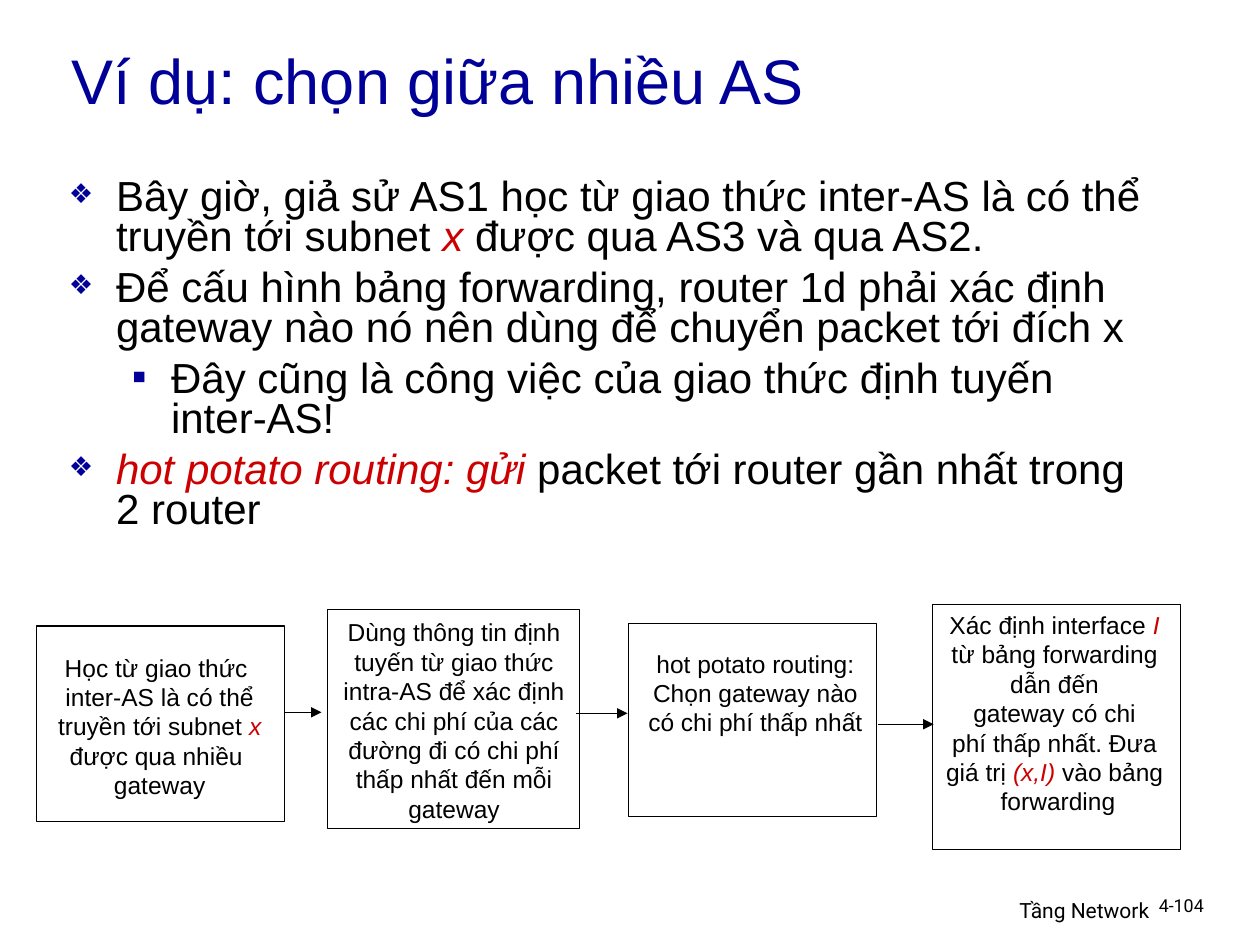
"""Build the slide on choosing among several autonomous systems."""
from lxml.etree import SubElement
from pptx import Presentation
from pptx.dml.color import RGBColor
from pptx.enum.shapes import MSO_CONNECTOR, MSO_SHAPE
from pptx.enum.text import MSO_ANCHOR, MSO_AUTO_SIZE, PP_ALIGN
from pptx.oxml.ns import qn
from pptx.util import Cm, Pt

BLACK, RED, NAVY = "000000", "CC0000", "000099"


def paint(color, code):
    color.rgb = RGBColor.from_string(code)


def write(box, lines, size, align=PP_ALIGN.LEFT, face="Arial", wrap=True):
    """Fill a box with lines; parts between bars are red italics."""
    frame = box.text_frame
    frame.word_wrap = wrap
    frame.text = "\n".join(line.replace("|", "") for line in lines)
    for para, line in zip(frame.paragraphs, lines):
        para.alignment = align
        para.text = ""
        for spot, part in enumerate(line.split("|")):
            if part:
                run = para.add_run()
                run.text = part
                run.font.size = Pt(size)
                run.font.name = face
                run.font.italic = spot % 2 == 1
                paint(run.font.color, RED if spot % 2 else BLACK)
    return frame


deck = Presentation()
deck.slide_width, deck.slide_height = Cm(25.4), Cm(19.05)
slide = deck.slides.add_slide(deck.slide_layouts[5])
shapes = slide.shapes

title = shapes.title
title.left, title.top, title.width, title.height = Cm(1.19), Cm(0), Cm(24.2), Cm(3.18)
frame = write(title, ["Ví dụ: chọn giữa nhiều AS"], 36)
frame.auto_size = MSO_AUTO_SIZE.NONE
frame.vertical_anchor = MSO_ANCHOR.MIDDLE
paint(frame.paragraphs[0].runs[0].font.color, NAVY)

points = [
    (0, "Bây giờ, giả sử AS1 học từ giao thức inter-AS là có thể truyền tới subnet |x |được qua AS3 và qua AS2."),
    (0, "Để cấu hình bảng forwarding, router 1d phải xác định gateway nào nó nên dùng để chuyển packet tới đích x"),
    (1, "Đây cũng là công việc của giao thức định tuyến inter-AS!"),
    (0, "|hot potato routing: gửi |packet tới router gần nhất trong 2 router"),
]
styles = [(0.95, 0.95, "65000", "❖"), (2.06, 0.79, "100000", "▪")]
body = shapes.add_textbox(Cm(1.14), Cm(3.48), Cm(22.2), Cm(7.65))
frame = write(body, [text for level, text in points], 24)
for order, (para, (level, text)) in enumerate(zip(frame.paragraphs, points)):
    left, hang, scale, mark = styles[level]
    para.level = level
    para.line_spacing = 0.8
    para.space_before = Pt(6 if order else 0)
    props = para._p.get_or_add_pPr()
    props.set("marL", str(Cm(left)))
    props.set("indent", str(-Cm(hang)))
    tint = SubElement(props, qn("a:buClr"))
    SubElement(tint, qn("a:srgbClr"), val=NAVY)
    SubElement(props, qn("a:buSzPct"), val=scale)
    SubElement(props, qn("a:buFont"), typeface="Arial")
    SubElement(props, qn("a:buChar"), char=mark)

steps = [
    ((0.74, 12.62, 5, 3.94), (0.86, 13.03, 4.72, 3.81), False,
     ["Học từ giao thức ", "inter-AS là có thể", "truyền tới subnet |x |",
      "được qua nhiều ", "gateway"]),
    ((6.6, 12.29, 5.08, 4.42), (6.45, 12.32, 5.41, 4.42), True,
     ["Dùng thông tin định tuyến từ giao thức intra-AS để xác định các chi phí "
      "của các đường đi có chi phí thấp nhất đến mỗi gateway"]),
    ((12.67, 12.57, 5, 3.89), (12.73, 12.95, 5, 2.03), True,
     ["hot potato routing:", "Chọn gateway nào có chi phí thấp nhất"]),
    ((18.8, 12.19, 5, 4.93), (18.75, 12.17, 5.16, 4.42), False,
     ["Xác định interface| I |", "từ bảng forwarding ", "dẫn đến ",
      "gateway có chi ", "phí thấp nhất. Đưa ", "giá trị |(x,I) |vào bảng ",
      "forwarding"]),
]
for edge, area, wrap, lines in steps:
    rect = shapes.add_shape(MSO_SHAPE.RECTANGLE, *map(Cm, edge))
    rect.shadow.inherit = False
    rect.fill.background()
    rect.line.width = Pt(0.75)
    paint(rect.line.color, BLACK)
    label = shapes.add_textbox(*map(Cm, area))
    write(label, lines, 14, PP_ALIGN.CENTER, wrap=wrap)

for start, end, y in [(5.74, 6.48, 14.36), (11.61, 12.65, 14.38), (17.7, 18.82, 14.6)]:
    arrow = shapes.add_connector(MSO_CONNECTOR.STRAIGHT, Cm(start), Cm(y), Cm(end), Cm(y))
    arrow.line.width = Pt(0.75)
    paint(arrow.line.color, BLACK)
    SubElement(arrow.line._get_or_add_ln(), qn("a:tailEnd"), type="triangle")
    SubElement(arrow._element.spPr, qn("a:effectLst"))

footer = shapes.add_textbox(Cm(15.37), Cm(17.96), Cm(8.05), Cm(0.79))
write(footer, ["Tầng Network"], 12, PP_ALIGN.RIGHT, "Roboto")
number = shapes.add_textbox(Cm(23.11), Cm(17.96), Cm(1.88), Cm(0.76))
frame = write(number, ["4-104"], 10.2, face="Roboto")
frame.paragraphs[0].line_spacing = 0.9

deck.save("out.pptx")
